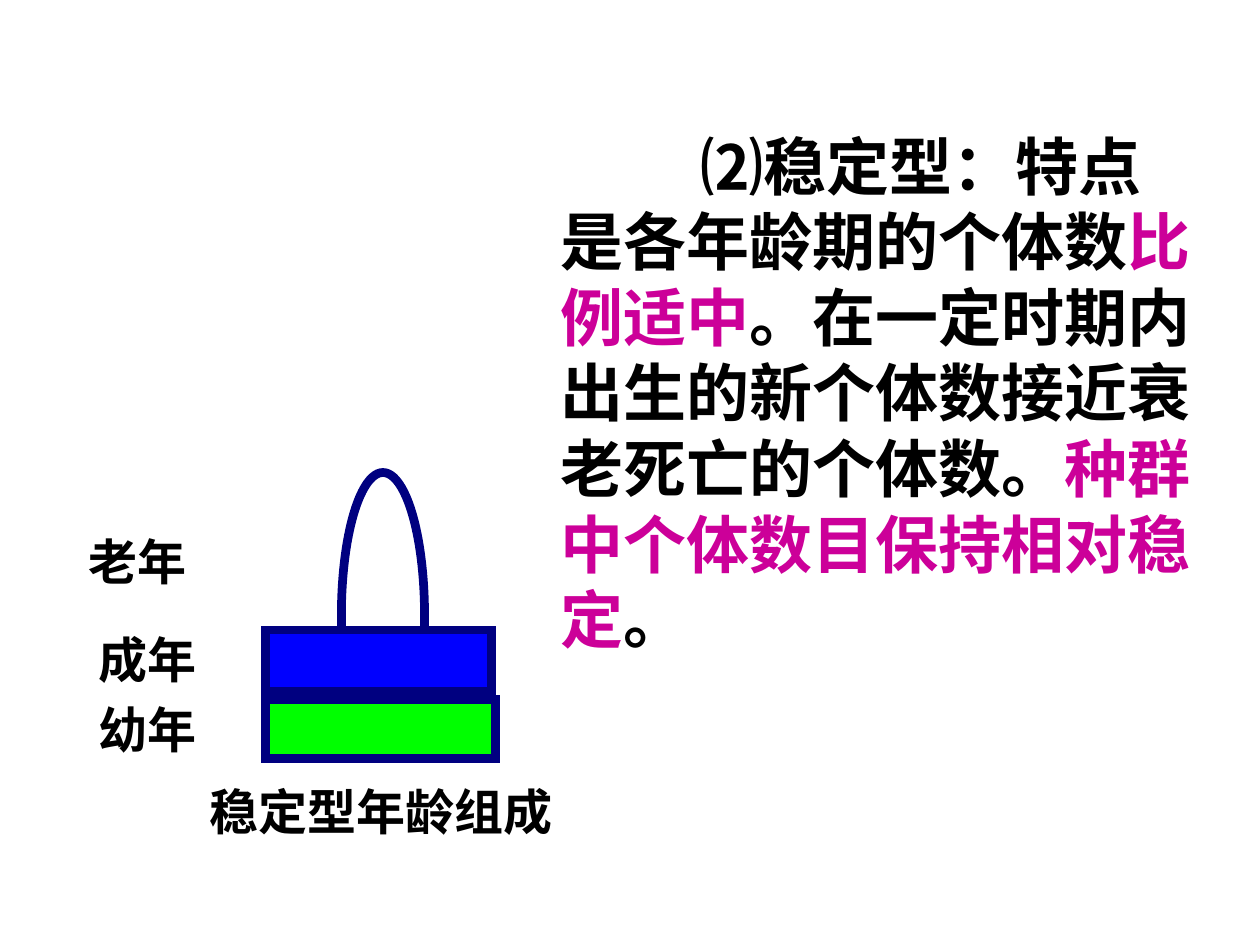
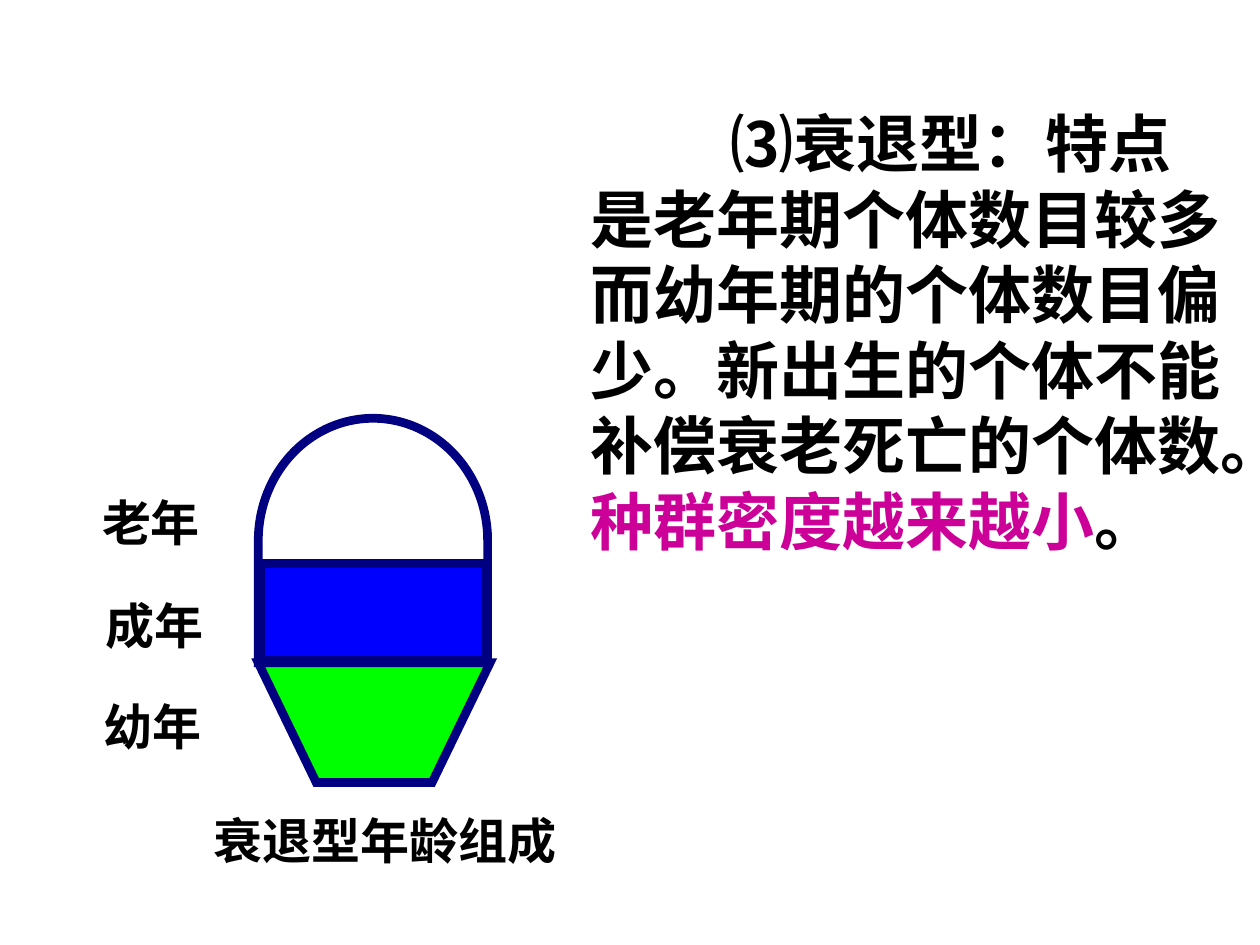
from lxml.etree import SubElement
from pptx import Presentation
from pptx.dml.color import RGBColor
from pptx.enum.shapes import MSO_SHAPE
from pptx.enum.text import MSO_AUTO_SIZE, PP_ALIGN
from pptx.oxml.ns import qn
from pptx.util import Pt

PX = 9144  # 100 px to the inch
FONT = "Noto Sans CJK SC"
COLORS = {"text": "000000", "accent": "CC0099", "outline": "000080",
          "old": "FFFFFF", "adult": "0000FF", "young": "00FF00"}
TEXT_SIZE, LABEL_SIZE = 36, 28
FIRST_LINE_INDENT = Pt(80)
LABEL_WIDTH, CAPTION_WIDTH, LABEL_HEIGHT = 105, 323, 47

PAGES = [
    {
        "text": (445, 94),
        "spans": [("⑵稳定型：特点是各年龄期的个体数", "text"),
                  ("比例适中", "accent"),
                  ("。在一定时期内出生的新个体数接近衰老死亡的个体数。", "text"),
                  ("种群中个体数目保持相对稳定", "accent"),
                  ("。", "text")],
        "caption": ("稳定型年龄组成", 141, 620),
        "labels": [("老年", 70, 422), ("成年", 78, 500), ("幼年", 78, 555)],
        "old": (191, 455, 226, 66),
        "adult": (211, 500, 179, 49),
        "young": [(211, 555), (211, 602), (393, 602), (393, 555)],
    },
    {
        "text": (469, 76),
        "spans": [("⑶衰退型：特点是老年期个体数目较多而幼年期的个体数目偏少。"
                   "新出生的个体不能补偿衰老死亡的个体数。", "text"),
                  ("种群密度越来越小", "accent"),
                  ("。", "text")],
        "caption": ("衰退型年龄组成", 144, 643),
        "labels": [("老年", 81, 391), ("成年", 84, 473), ("幼年", 82, 553)],
        "old": (199, 338, 194, 182),
        "adult": (207, 447, 179, 77),
        "young": [(205, 526), (251, 621), (343, 621), (389, 526)],
    },
]


def add_text(shapes, frame, spans, size, align=PP_ALIGN.LEFT):
    """Add a bold text box of (words, colour name) spans; return the box."""
    box = shapes.add_textbox(*(value * PX for value in frame))
    text = box.text_frame
    text.word_wrap = True
    text.auto_size = MSO_AUTO_SIZE.SHAPE_TO_FIT_TEXT
    text.margin_left = text.margin_right = text.margin_top = text.margin_bottom = 0
    para = text.paragraphs[0]
    para.alignment = align
    para.font.size, para.font.bold, para.font.name = Pt(size), True, FONT
    east_asian = SubElement(para._p.pPr.find(qn("a:defRPr")), qn("a:ea"))
    east_asian.set("typeface", FONT)
    for words, color in spans:
        span = para.add_run()
        span.text = words
        span.font.color.rgb = RGBColor.from_string(COLORS[color])
    return box


def paint(shape, color):
    """Fill a diagram part and give it the thick, sharp-cornered outline."""
    shape.shadow.inherit = False
    shape.fill.solid()
    shape.fill.fore_color.rgb = RGBColor.from_string(COLORS[color])
    shape.line.color.rgb = RGBColor.from_string(COLORS["outline"])
    shape.line.width = Pt(5)
    miter = SubElement(shape._element.spPr.find(qn("a:ln")), qn("a:miter"))
    miter.set("lim", "800000")


deck = Presentation()
deck.slide_width, deck.slide_height = 1000 * PX, 750 * PX

for content in PAGES:
    page = deck.slides.add_slide(deck.slide_layouts[6])

    description = add_text(page.shapes, (*content["text"], 500, 427),
                           content["spans"], TEXT_SIZE)
    description.text_frame.margin_top = Pt(5)
    description.text_frame.paragraphs[0]._p.pPr.set("indent", str(FIRST_LINE_INDENT))

    diagram = page.shapes.add_group_shape().shapes
    caption, left, top = content["caption"]
    add_text(diagram, (left, top, CAPTION_WIDTH, LABEL_HEIGHT),
             [(caption, "text")], LABEL_SIZE, PP_ALIGN.CENTER)
    for label, left, top in content["labels"]:
        add_text(diagram, (left, top, LABEL_WIDTH, LABEL_HEIGHT),
                 [(label, "text")], LABEL_SIZE)

    old = diagram.add_shape(MSO_SHAPE.FLOWCHART_DELAY,
                            *(value * PX for value in content["old"]))
    old.rotation = 270
    paint(old, "old")

    adult = diagram.add_shape(MSO_SHAPE.RECTANGLE,
                              *(value * PX for value in content["adult"]))
    paint(adult, "adult")

    start, *corners = content["young"]
    outline = diagram.build_freeform(*start, scale=PX)
    outline.add_line_segments(corners, close=True)
    paint(outline.convert_to_shape(), "young")

deck.save("out.pptx")
